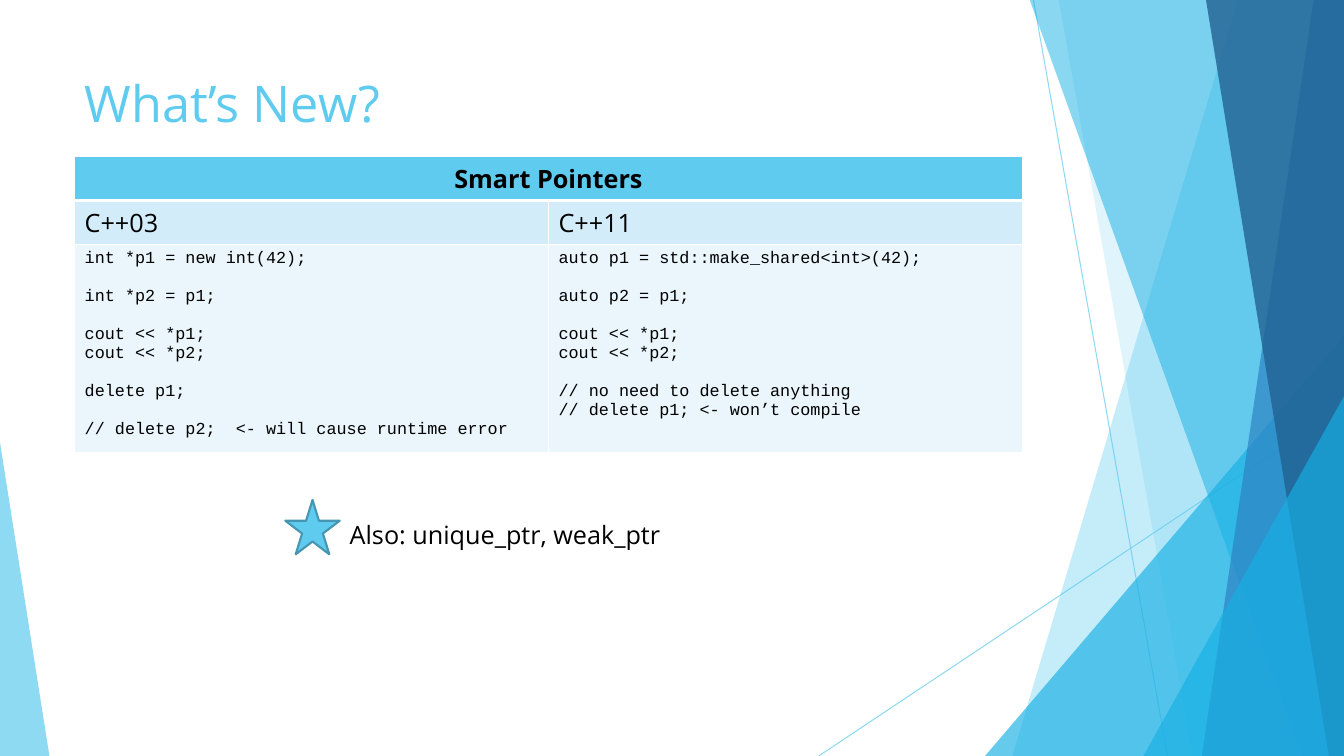
import pptx
import pptx.dml.color
import pptx.enum.shapes
import pptx.enum.text
import pptx.oxml
import pptx.oxml.ns
import pptx.util

Inches = pptx.util.Inches
Pt = pptx.util.Pt
RGBColor = pptx.dml.color.RGBColor
MSO_SHAPE = pptx.enum.shapes.MSO_SHAPE
PP_ALIGN = pptx.enum.text.PP_ALIGN
qn = pptx.oxml.ns.qn

SKY = RGBColor(0x5F, 0xCB, 0xEF)
CYAN = RGBColor(0x17, 0xB0, 0xE4)
BLUE = RGBColor(0x2E, 0x83, 0xC3)
NAVY = RGBColor(0x22, 0x62, 0x92)
STAR_EDGE = RGBColor(0x46, 0x96, 0xB1)
LABEL_FILL = RGBColor(0xD2, 0xEC, 0xF9)
CODE_FILL = RGBColor(0xEA, 0xF6, 0xFC)
BLACK = RGBColor(0, 0, 0)

WIDTH, HEIGHT = 13.33, 7.5
BAND_TOP = -0.01
LEFT, CONTENT_WIDTH = 0.74, 9.4
CODE_GAP = Pt(13.6)

TITLE_FONT = {"name": "Open Sans", "size": Pt(36), "color": SKY}
BODY_FONT = {"name": "Open Sans", "size": Pt(18), "color": BLACK}
HEADER_FONT = {**BODY_FONT, "bold": True}
LABEL_FONT = {**BODY_FONT, "bold": False}
CODE_FONT = {"name": "Courier New", "size": Pt(12), "color": BLACK, "bold": False}

# Each inner tuple is a block of code lines; blocks are set apart by CODE_GAP.
CODE_03 = (
    ("int *p1 = new int(42);",),
    ("int *p2 = p1;",),
    ("cout << *p1;", "cout << *p2;"),
    ("delete p1;",),
    ("// delete p2;  <- will cause runtime error",),
)
CODE_11 = (
    ("auto p1 = std::make_shared<int>(42);",),
    ("auto p2 = p1;",),
    ("cout << *p1;", "cout << *p2;"),
    ("// no need to delete anything", "// delete p1; <- won’t compile"),
)


def set_alpha(shape, percent):
    """Make the colours of a shape partly transparent."""
    for color in shape._element.spPr.iter(qn("a:srgbClr")):
        alpha = pptx.oxml.parse_xml(f'<a:alpha {pptx.oxml.ns.nsdecls("a")} val="{percent * 1000}"/>')
        color.append(alpha)


def fill_shape(shape, color):
    """Give a shape a plain fill without outline or shadow."""
    shape.shadow.inherit = False
    shape.fill.solid()
    shape.fill.fore_color.rgb = color
    shape.line.fill.background()


def add_band(slide, top_x, bottom_x, color, percent):
    """Add a slanted band that reaches to the right edge of the slide."""
    corners = [(top_x, BAND_TOP), (WIDTH, BAND_TOP), (WIDTH, HEIGHT), (bottom_x, HEIGHT)]
    points = [(Inches(x), Inches(y)) for x, y in corners]
    builder = slide.shapes.build_freeform(*points[0])
    builder.add_line_segments(points[1:], close=True)
    band = builder.convert_to_shape()
    fill_shape(band, color)
    set_alpha(band, percent)


def add_corner(slide, left, top, width, apex, color, percent):
    """Add a right-angled triangle standing on the bottom edge."""
    corner = slide.shapes.add_shape(
        MSO_SHAPE.ISOSCELES_TRIANGLE,
        Inches(left), Inches(top), Inches(width), Inches(HEIGHT - top))
    corner.adjustments[0] = apex
    fill_shape(corner, color)
    set_alpha(corner, percent)


def add_thin_line(slide, start, end):
    """Add a thin translucent line."""
    line = slide.shapes.add_connector(
        pptx.enum.shapes.MSO_CONNECTOR.STRAIGHT, *map(Inches, start + end))
    line.line.color.rgb = SKY
    line.line.width = Pt(0.75)
    set_alpha(line, 70)
    line._element.spPr.append(pptx.oxml.parse_xml(f'<a:effectLst {pptx.oxml.ns.nsdecls("a")}/>'))


def add_background(slide):
    """Draw the facets at the right and left edges, back to front."""
    add_thin_line(slide, (10.25, 0), (11.58, HEIGHT))
    add_thin_line(slide, (WIDTH, 4.03), (8.12, HEIGHT))
    add_band(slide, 12.28, 10.04, SKY, 36)
    add_band(slide, 10.5, 11.83, SKY, 20)
    add_corner(slide, 9.77, 3.33, 3.56, 1, CYAN, 66)
    add_band(slide, 10.21, 12.91, CYAN, 50)
    add_band(slide, 13.03, 11.92, BLUE, 70)
    add_band(slide, 11.96, 13.18, NAVY, 80)
    add_corner(slide, 11.34, 3.93, 1.99, 1, CYAN, 66)
    add_corner(slide, 0, 4.39, 0.49, 0, SKY, 70)


def write(paragraph, text, font):
    """Write one formatted run into a paragraph."""
    run = paragraph.add_run()
    run.text = text
    for name, value in font.items():
        if name == "color":
            run.font.color.rgb = value
        else:
            setattr(run.font, name, value)


def add_text(slide, left, top, width, height, text, font):
    """Add a text box with one line of text."""
    box = slide.shapes.add_textbox(*map(Inches, (left, top, width, height)))
    box.text_frame.word_wrap = True
    write(box.text_frame.paragraphs[0], text, font)


def write_code(cell, blocks):
    """Write blocks of code lines with a gap before each later block."""
    paragraph = None
    for block in blocks:
        for index, line in enumerate(block):
            if paragraph is None:
                paragraph = cell.text_frame.paragraphs[0]
            else:
                paragraph = cell.text_frame.add_paragraph()
                paragraph.space_before = CODE_GAP if index == 0 else Pt(0)
            write(paragraph, line, CODE_FONT)


def style_cell(cell, color, top=1, bottom=1):
    """Set the fill of a cell and its white borders, in points."""
    cell.fill.solid()
    cell.fill.fore_color.rgb = color
    properties = cell._tc.get_or_add_tcPr()
    for index, (side, points) in enumerate(zip("LRTB", (1, 1, top, bottom))):
        properties.insert(index, pptx.oxml.parse_xml(
            f'<a:ln{side} {pptx.oxml.ns.nsdecls("a")} w="{Pt(points)}"><a:solidFill>'
            f'<a:srgbClr val="FFFFFF"/></a:solidFill></a:ln{side}>'))


def add_comparison(slide):
    """Add the table that compares C++03 and C++11."""
    heights = (0.44, 0.44, 1.97)
    table = slide.shapes.add_table(
        3, 2, Inches(LEFT), Inches(1.55), Inches(CONTENT_WIDTH), Inches(sum(heights))).table
    table.horz_banding = False
    for row, height in zip(table.rows, heights):
        row.height = Inches(height)
    for column, (label, code) in enumerate((("C++03", CODE_03), ("C++11", CODE_11))):
        style_cell(table.cell(0, column), SKY, bottom=3)
        style_cell(table.cell(1, column), LABEL_FILL, top=3)
        style_cell(table.cell(2, column), CODE_FILL)
        write(table.cell(1, column).text_frame.paragraphs[0], label, LABEL_FONT)
        write_code(table.cell(2, column), code)
    header = table.cell(0, 0)
    header.merge(table.cell(0, 1))
    paragraph = header.text_frame.paragraphs[0]
    paragraph.alignment = PP_ALIGN.CENTER
    write(paragraph, "Smart Pointers", HEADER_FONT)


def add_star(slide):
    """Add the star in front of the closing remark."""
    star = slide.shapes.add_shape(
        MSO_SHAPE.STAR_5_POINT, Inches(2.83), Inches(4.96), Inches(0.54), Inches(0.54))
    fill_shape(star, SKY)
    star.line.color.rgb = STAR_EDGE
    star.line.width = Pt(1.5)


def main():
    """Build the slide and save it."""
    presentation = pptx.Presentation()
    presentation.slide_width = Inches(WIDTH)
    presentation.slide_height = Inches(HEIGHT)
    slide = presentation.slides.add_slide(presentation.slide_layouts[6])
    add_background(slide)
    add_text(slide, LEFT, 0.67, CONTENT_WIDTH, 0.88, "What’s New?", TITLE_FONT)
    add_comparison(slide)
    add_star(slide)
    add_text(slide, 3.37, 5.1, 4.05, 0.4, "Also: unique_ptr, weak_ptr", BODY_FONT)
    presentation.save("out.pptx")


main()
